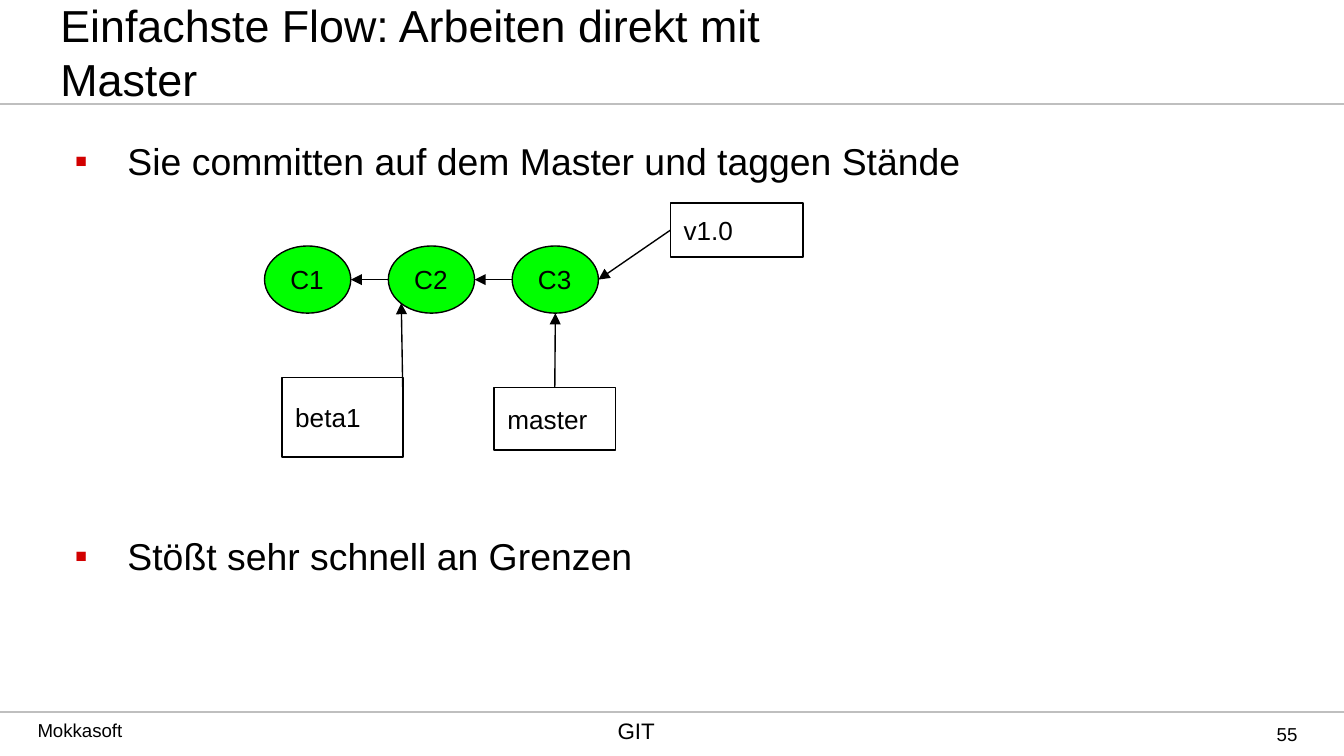
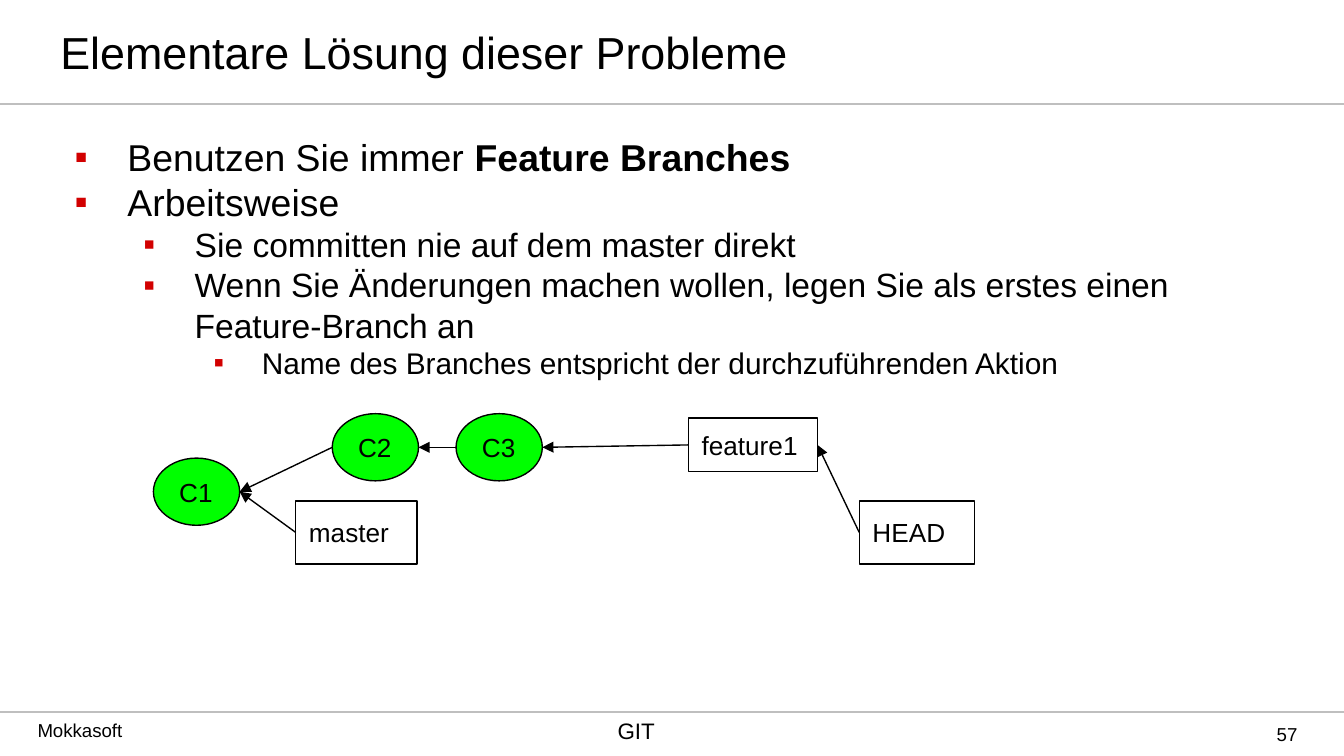
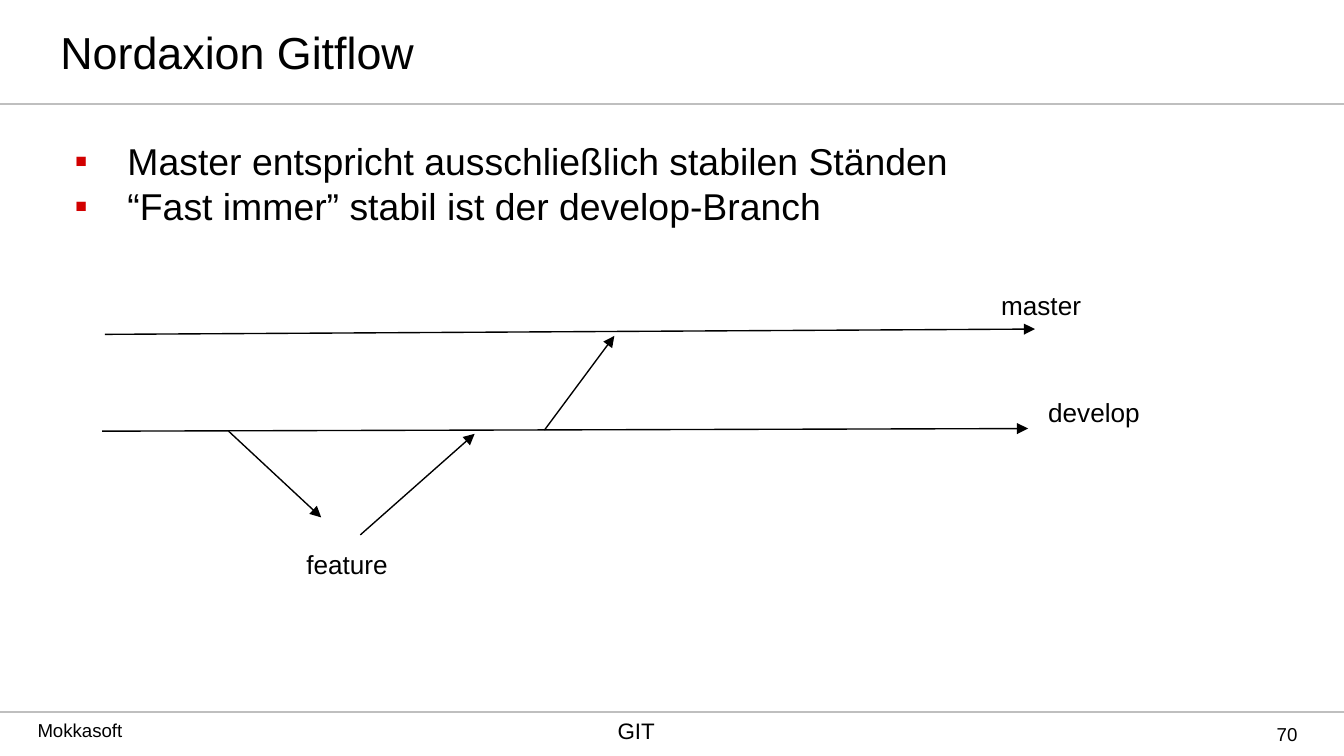
from lxml import etree
from pptx import Presentation
from pptx.dml.color import RGBColor
from pptx.enum.shapes import MSO_CONNECTOR as CONN, MSO_SHAPE as SHAPE
from pptx.enum.text import MSO_ANCHOR as ANCHOR, MSO_AUTO_SIZE as AUTO, PP_ALIGN as ALIGN
from pptx.oxml.ns import qn
from pptx.util import Cm, Pt

COLORS = {"text": "000000", "rule": "BFBFBF", "bullet": "D20000",
          "commit": "00FF00", "white": "FFFFFF"}
FONT = "Arial"
SLIDE_W, SLIDE_H = 25.4, 14.29
INSET = 0.25
COMMIT_W, COMMIT_H, COMMIT_STEP = 1.63, 1.27, 2.34
REF_W, REF_H, LOW_REF_H = 2.29, 1.02, 1.19
# Left indent, first-line indent and text size of each bullet level
LEVELS = [(1.27, -1.0, 20), (2.54, -0.97, 18), (3.81, -0.91, 16)]
# Share of width and height at which an arrow meets a shape
SPOTS = {"top": (0.5, 0), "left": (0, 0.5), "bottom": (0.5, 1),
         "right": (1, 0.5), "lower left": (0.15, 0.85)}
SITES = {"top": 0, "left": 1, "bottom": 2, "right": 3}


def rgb(name):
    return RGBColor.from_string(COLORS[name])


def add_run(p, text, size, bold=False):
    r = p.add_run()
    r.text = text
    r.font.name = FONT
    r.font.size = Pt(size)
    r.font.bold = bold
    r.font.color.rgb = rgb("text")


def set_frame(sp, inset_y, anchor=ANCHOR.TOP, inset_x=INSET):
    tf = sp.text_frame
    tf.word_wrap = True
    tf.auto_size = AUTO.NONE
    tf.vertical_anchor = anchor
    tf.margin_left = tf.margin_right = Cm(inset_x)
    tf.margin_top = tf.margin_bottom = Cm(inset_y)
    return tf


def add_text(slide, box, text, size, align=ALIGN.LEFT, **frame):
    sp = slide.shapes.add_textbox(*map(Cm, box))
    tf = set_frame(sp, **frame)
    p = tf.paragraphs[0]
    p.alignment = align
    add_run(p, text, size)
    return tf


def add_line(slide, start, end, color="text", width=0.75):
    line = slide.shapes.add_connector(CONN.STRAIGHT, *start, *end)
    line.line.color.rgb = rgb(color)
    line.line.width = Pt(width)
    etree.SubElement(line._element.spPr, qn("a:effectLst"))
    return line


def add_arrow(slide, start, end):
    arrow = add_line(slide, start, end)
    etree.SubElement(arrow.line._get_or_add_ln(), qn("a:tailEnd"), type="triangle")
    return arrow


def spot(sp, side):
    fx, fy = SPOTS[side]
    return int(sp.left + fx * sp.width), int(sp.top + fy * sp.height)


def link(slide, source, side, target, target_side):
    """Point from one node to another, glued to rectangles."""
    arrow = add_arrow(slide, spot(source, side), spot(target, target_side))
    if source.auto_shape_type == SHAPE.RECTANGLE:
        arrow.begin_connect(source, SITES[side])
    if target.auto_shape_type == SHAPE.RECTANGLE:
        arrow.end_connect(target, SITES[target_side])


def add_node(slide, kind, box, text, fill=None):
    sp = slide.shapes.add_shape(kind, *map(Cm, box))
    sp.shadow.inherit = False
    if fill:
        sp.fill.solid()
        sp.fill.fore_color.rgb = rgb(fill)
    else:
        sp.fill.background()
    sp.line.color.rgb = rgb("text")
    sp.line.width = Pt(0.75)
    p = set_frame(sp, INSET, ANCHOR.MIDDLE).paragraphs[0]
    p.alignment = ALIGN.LEFT
    add_run(p, text, 14)
    return sp


def add_commit(slide, x, y, text):
    sp = add_node(slide, SHAPE.OVAL, (x, y, COMMIT_W, COMMIT_H), text, "commit")
    sp.text_frame.word_wrap = False
    return sp


def add_ref(slide, x, y, text, w=REF_W, h=LOW_REF_H, fill=None):
    return add_node(slide, SHAPE.RECTANGLE, (x, y, w, h), text, fill)


def add_base(prs, title, number):
    """Add a slide with its title, rules and footer."""
    slide = prs.slides.add_slide(prs.slide_layouts[5])
    for y in (13.46, 1.96):
        add_line(slide, (0, Cm(y)), (Cm(SLIDE_W), Cm(y)), "rule", 1)
    sp = slide.shapes.title
    sp.left, sp.top, sp.width, sp.height = map(Cm, (0.89, 0, 15.8, 1.96))
    p = set_frame(sp, 0.13, ANCHOR.MIDDLE).paragraphs[0]
    p.alignment = ALIGN.LEFT
    add_run(p, title, 24)
    add_text(slide, (0.46, 13.59, 4.95, 0.56), "Mokkasoft", 10, inset_y=0)
    add_text(slide, (8.05, 13.56, 7.95, 0.84), "GIT", 12, ALIGN.CENTER, inset_y=0)
    add_text(slide, (22.23, 13.46, 2.29, 0.84), number, 10, ALIGN.RIGHT,
             inset_y=0, inset_x=0, anchor=ANCHOR.MIDDLE)
    return slide


def add_bullets(slide, top, items):
    """Each item: level, space before in points, (text, bold) runs."""
    sp = slide.shapes.add_textbox(Cm(0.89), Cm(top), Cm(23.6), Cm(10.62))
    tf = set_frame(sp, 0.13)
    for i, (level, before, runs) in enumerate(items):
        p = tf.paragraphs[0] if i == 0 else tf.add_paragraph()
        left, first, size = LEVELS[level]
        p.level = level
        pPr = p._p.get_or_add_pPr()
        pPr.set("marL", str(Cm(left)))
        pPr.set("indent", str(Cm(first)))
        clr = etree.SubElement(pPr, qn("a:buClr"))
        etree.SubElement(clr, qn("a:srgbClr"), val=COLORS["bullet"])
        etree.SubElement(pPr, qn("a:buFont"), typeface=FONT)
        etree.SubElement(pPr, qn("a:buChar"), char="▪")
        p.space_before = Pt(before)
        for text, bold in runs:
            add_run(p, text, size, bold)


def draw_master_flow(slide, x, y):
    c1, c2, c3 = [add_commit(slide, x + i * COMMIT_STEP, y + 0.81, f"C{i + 1}")
                  for i in range(3)]
    master = add_ref(slide, x + 4.34, y + 3.48, "master")
    beta = add_ref(slide, x + 0.33, y + 3.3, "beta1", h=1.5)
    version = add_ref(slide, x + 7.67, y, "v1.0", w=2.51, h=REF_H)
    for ends in ((c2, "left", c1, "right"), (c3, "left", c2, "right"),
                 (master, "top", c3, "bottom"), (beta, "right", c2, "lower left"),
                 (version, "left", c3, "right")):
        link(slide, *ends)


def draw_feature_branch(slide, x, y):
    c1 = add_commit(slide, x, y + 0.84, "C1")
    c2, c3 = [add_commit(slide, x + 3.38 + i * COMMIT_STEP, y, f"C{i + 2}")
              for i in range(2)]
    master = add_ref(slide, x + 2.69, y + 1.65, "master")
    head = add_ref(slide, x + 13.34, y + 1.65, "HEAD", w=2.18, fill="white")
    feature = add_ref(slide, x + 10.11, y + 0.08, "feature1", w=2.44, h=REF_H, fill="white")
    for source, target in ((master, c1), (head, feature), (c2, c1), (c3, c2), (feature, c3)):
        link(slide, source, "left", target, "right")


def draw_gitflow(slide, x, y):
    arrows = [(0.05, 1.09, 17.63, 0.99),  # master
              (0, 2.92, 17.5, 2.87),      # develop
              (2.39, 2.92, 4.14, 4.55),   # develop to feature
              (4.88, 4.88, 7.04, 2.97),   # feature to develop
              (8.36, 2.9, 9.68, 1.12)]    # develop to master
    for x1, y1, x2, y2 in arrows:
        add_arrow(slide, (Cm(x + x1), Cm(y + y1)), (Cm(x + x2), Cm(y + y2)))
    for dx, dy, w, text in ((16.74, 0, 3.4, "master"), (17.63, 2.01, 3.4, "develop"),
                            (3.61, 4.88, 2.54, "feature")):
        tf = add_text(slide, (x + dx, y + dy, w, 1.12), text, 14, inset_y=INSET)
        tf.auto_size = AUTO.SHAPE_TO_FIT_TEXT


def main():
    prs = Presentation()
    prs.slide_width, prs.slide_height = Cm(SLIDE_W), Cm(SLIDE_H)

    slide = add_base(prs, "Einfachste Flow: Arbeiten direkt mit Master", "55")
    add_bullets(slide, 2.49, [
        (0, 0, [("Sie committen auf dem Master und taggen Stände", False)]),
        (0, 187.5, [("Stößt sehr schnell an Grenzen", False)])])
    draw_master_flow(slide, 5, 3.84)

    slide = add_base(prs, "Elementare Lösung dieser Probleme", "57")
    add_bullets(slide, 2.41, [
        (0, 0, [("Benutzen Sie immer ", False), ("Feature Branches", True)]),
        (0, 0, [("Arbeitsweise", False)]),
        (1, 0, [("Sie committen nie auf dem master direkt", False)]),
        (1, 0, [("Wenn Sie Änderungen machen wollen, legen Sie als erstes einen "
                 "Feature-Branch an", False)]),
        (2, 0, [("Name des Branches entspricht der durchzuführenden Aktion", False)])])
    draw_feature_branch(slide, 2.9, 7.82)

    slide = add_base(prs, "Nordaxion Gitflow", "70")
    add_bullets(slide, 2.49, [
        (0, 0, [("Master entspricht ausschließlich stabilen Ständen", False)]),
        (0, 0, [("“Fast immer” stabil ist der develop-Branch", False)])])
    draw_gitflow(slide, 1.93, 5.23)

    prs.save("out.pptx")


if __name__ == "__main__":
    main()
